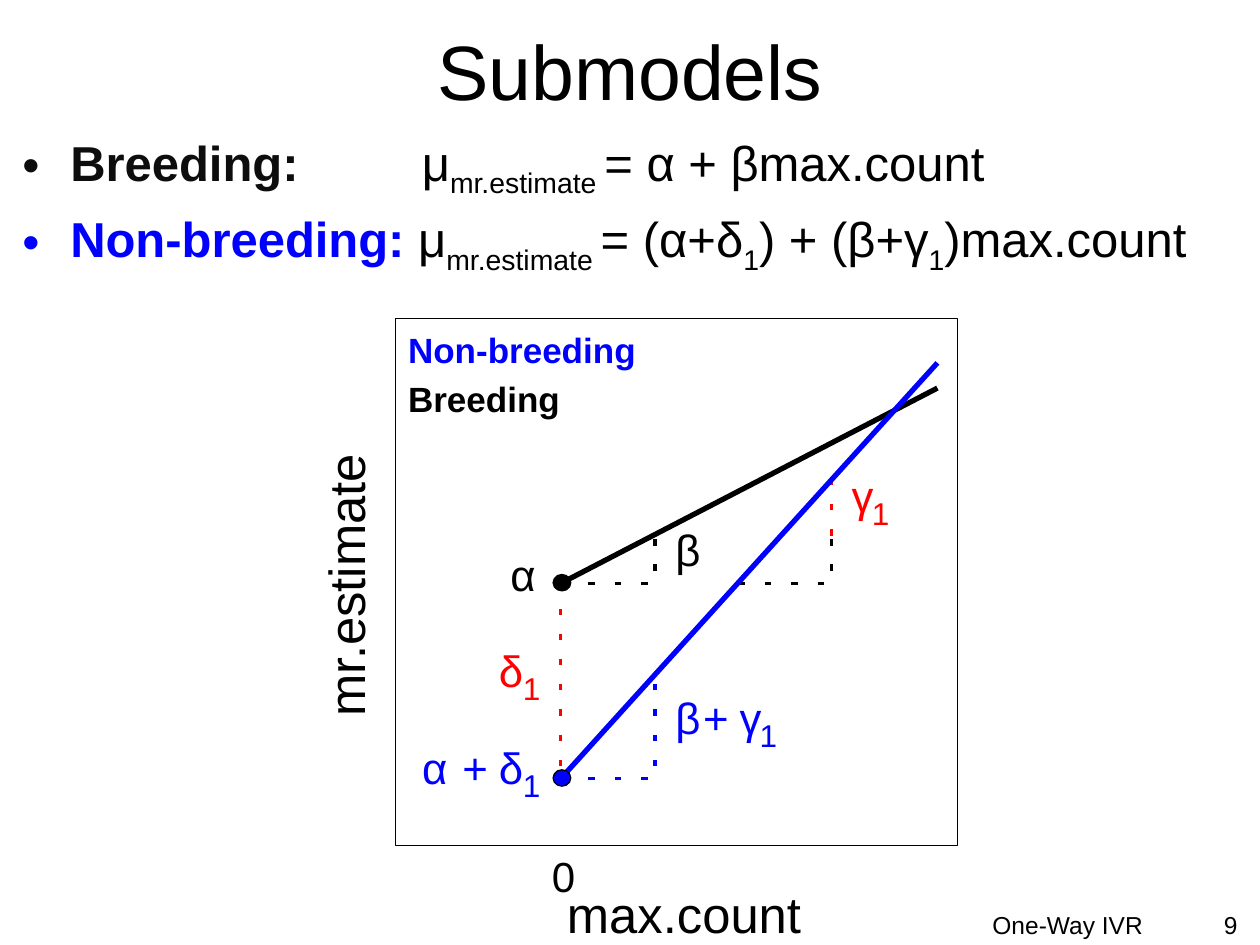
from lxml.etree import SubElement as Sub
from pptx import Presentation
from pptx.dml.color import RGBColor
from pptx.enum.shapes import MSO_CONNECTOR as Conn, MSO_SHAPE as Shape
from pptx.enum.text import MSO_ANCHOR as Anchor, MSO_AUTO_SIZE as Fit, PP_ALIGN as Align
from pptx.oxml.ns import qn
from pptx.util import Inches, Pt

BLACK = RGBColor(0, 0, 0)
DARK = RGBColor(0x0D, 0x0D, 0x0D)
BLUE = RGBColor(0, 0, 0xFF)
RED = RGBColor(0xFF, 0, 0)
WIDTH = {"α": 0.48, "β": 0.46, "γ": 0.39, "δ": 0.43, "+": 0.44, "1": 0.27}


def add_run(para, text, size, color=BLACK, bold=False, sub=False):
    run = para.add_run()
    run.text = text
    look = {"name": "Arial", "size": Pt(size), "bold": bold}
    for key, value in look.items():
        setattr(run.font, key, value)
    run.font.color.rgb = color
    if sub:
        run.font._element.set("baseline", "-25000")


def add_text(slide, box, text, size, color=BLACK, bold=False,
             align=Align.LEFT, **form):
    shape = slide.shapes.add_textbox(*map(Inches, box))
    frame = shape.text_frame
    for key, value in {"word_wrap": True, **form}.items():
        setattr(frame, key, value)
    para = frame.paragraphs[0]
    para.alignment = align
    if text:
        add_run(para, text, size, color, bold)
    return shape


def add_label(slide, box, text, size, color=BLACK):
    flat = dict.fromkeys(
        ("margin_left", "margin_top", "margin_right", "margin_bottom"), 0)
    return add_text(slide, box, text, size, color, word_wrap=False,
                    auto_size=Fit.SHAPE_TO_FIT_TEXT, **flat)


def add_line(slide, start, end, color, width):
    line = slide.shapes.add_connector(
        Conn.STRAIGHT, *map(Inches, (*start, *end)))
    line.line.color.rgb = color
    line.line.width = Pt(width)
    Sub(line._element.spPr, qn("a:effectLst"))


def add_dashes(slide, x, y, dx, dy, count, color):
    """Short strokes along one axis; dx and dy give the step."""
    for i in range(count):
        a, b = x + i * dx, y + i * dy
        add_line(slide, (a, b), (a + dx / 4, b + dy / 4), color, 2)


def add_form(slide, kind, box, fill=None):
    form = slide.shapes.add_shape(kind, *map(Inches, box))
    form.shadow.inherit = False
    if fill is None:
        form.fill.background()
    else:
        form.fill.solid()
        form.fill.fore_color.rgb = fill
    form.line.color.rgb = BLACK
    form.line.width = Pt(0)


def add_models(slide, box):
    """Bulleted equations of the two submodels."""
    frame = add_text(slide, box, "", 28).text_frame
    mean = [("μ", 0), ("mr.estimate ", 1)]
    rows = [
        ("Breeding:\t", DARK, [("= α + βmax.count", 0)]),
        ("Non-breeding: ", BLUE,
         [("= (α+δ", 0), ("1", 1), (") + (β+γ", 0), ("1", 1),
          (")max.count", 0)]),
    ]
    for i, (name, color, terms) in enumerate(rows):
        para = frame.add_paragraph() if i else frame.paragraphs[0]
        props = para._p.get_or_add_pPr()
        props.set("marL", str(Inches(0.38)))
        props.set("indent", str(-Inches(0.38)))
        space = Sub(props, qn("a:spcBef"))
        Sub(space, qn("a:spcPct")).set("val", "20000")
        Sub(props, qn("a:buFont")).set("typeface", "Arial")
        Sub(props, qn("a:buChar")).set("char", "•")
        tabs = Sub(props, qn("a:tabLst"))
        stop = Sub(tabs, qn("a:tab"))
        stop.set("pos", str(Inches(3.17)))
        stop.set("algn", "l")
        add_run(para, name, 28, color, True)
        for text, sub in mean + terms:
            add_run(para, text, 28, sub=sub)


def add_plot(slide, box):
    """Two fitted lines with their intercepts and slopes."""
    left, top, wide, high = box
    zero, end = left + 1.31, left + 4.3
    upper, lower = top + 2.1, top + 3.65

    # Symbols: x and y from the plot corner
    terms = [
        (BLACK, 1.82, [("α", 0.91)]),
        (BLUE, 3.35, [("α", 0.21), ("+", 0.53), ("δ", 0.82), ("1", 1.01)]),
        (BLACK, 1.62, [("β", 2.22)]),
        (BLUE, 2.95, [("β", 2.22), ("+", 2.44), ("γ", 2.73), ("1", 2.89)]),
        (RED, 2.58, [("δ", 0.82), ("1", 1.01)]),
        (RED, 1.19, [("γ", 3.62), ("1", 3.78)]),
    ]
    for color, y, marks in terms:
        for text, x in marks:
            sub = text == "1"
            add_label(slide, (left + x, top + y + 0.2 * sub, WIDTH[text],
                              0.33 if sub else 0.53),
                      text, 18 if sub else 25, color)

    # Dashed guides
    near, far = zero + 0.75, zero + 2.15
    guides = [
        (zero + 0.22, upper, 0.21, 0, 3, BLACK),
        (near, upper - 0.1, 0, -0.2, 2, BLACK),
        (zero + 0.22, lower, 0.21, 0, 3, BLUE),
        (near, lower - 0.1, 0, -0.2, 4, BLUE),
        (zero, upper + 0.2, 0, 0.2, 7, RED),
        (zero + 1.41, upper, 0.21, 0, 4, BLACK),
        (far, upper - 0.1, 0, -0.2, 2, BLACK),
        (far, upper - 0.38, 0, -0.2, 3, RED),
    ]
    for guide in guides:
        add_dashes(slide, *guide)

    # Frame and axis names
    add_form(slide, Shape.RECTANGLE, box)
    add_label(slide, (left + 1.36, top + 4.48, 1.87, 0.49), "max.count", 29)
    name = add_label(slide, (left - 1.45, top + 1.86, 2.1, 0.49),
                     "mr.estimate", 29)
    name.rotation = 270
    add_label(slide, (left + 1.24, top + 4.22, 0.35, 0.45), "0", 24)

    # Fitted lines
    for y, peak, color in ((upper, 0.55, BLACK), (lower, 0.35, BLUE)):
        add_line(slide, (zero, y), (end, top + peak), color, 3)
        add_form(slide, Shape.OVAL, (zero - 0.06, y - 0.07, 0.14, 0.13), color)

    # Key
    add_text(slide, (left, top + 0.42, 2.19, 0.44), "Breeding", 20, BLACK, True)
    add_text(slide, (left, top + 0.03, 2.03, 0.44), "Non-breeding", 20, BLUE,
             True, word_wrap=False, auto_size=Fit.SHAPE_TO_FIT_TEXT)


def add_foot(slide, box):
    left, top, wide, high = box
    add_text(slide, (left, top, 3.17, high), "One-Way IVR", 14,
             align=Align.RIGHT)
    add_text(slide, (left + 3.25, top, 0.67, high), "9", 14, align=Align.RIGHT)


def main():
    deck = Presentation()
    deck.slide_width, deck.slide_height = Inches(10), Inches(7.5)
    slide = deck.slides.add_slide(deck.slide_layouts[6])
    add_foot(slide, (6, 7.17, 3.92, 0.3))
    add_text(slide, (0.5, 0.08, 9, 0.95), "Submodels", 44,
             align=Align.CENTER, vertical_anchor=Anchor.MIDDLE)
    add_models(slide, (0.08, 1, 9.83, 1.33))
    add_plot(slide, (3.14, 2.53, 4.46, 4.18))
    deck.save("out.pptx")


main()
